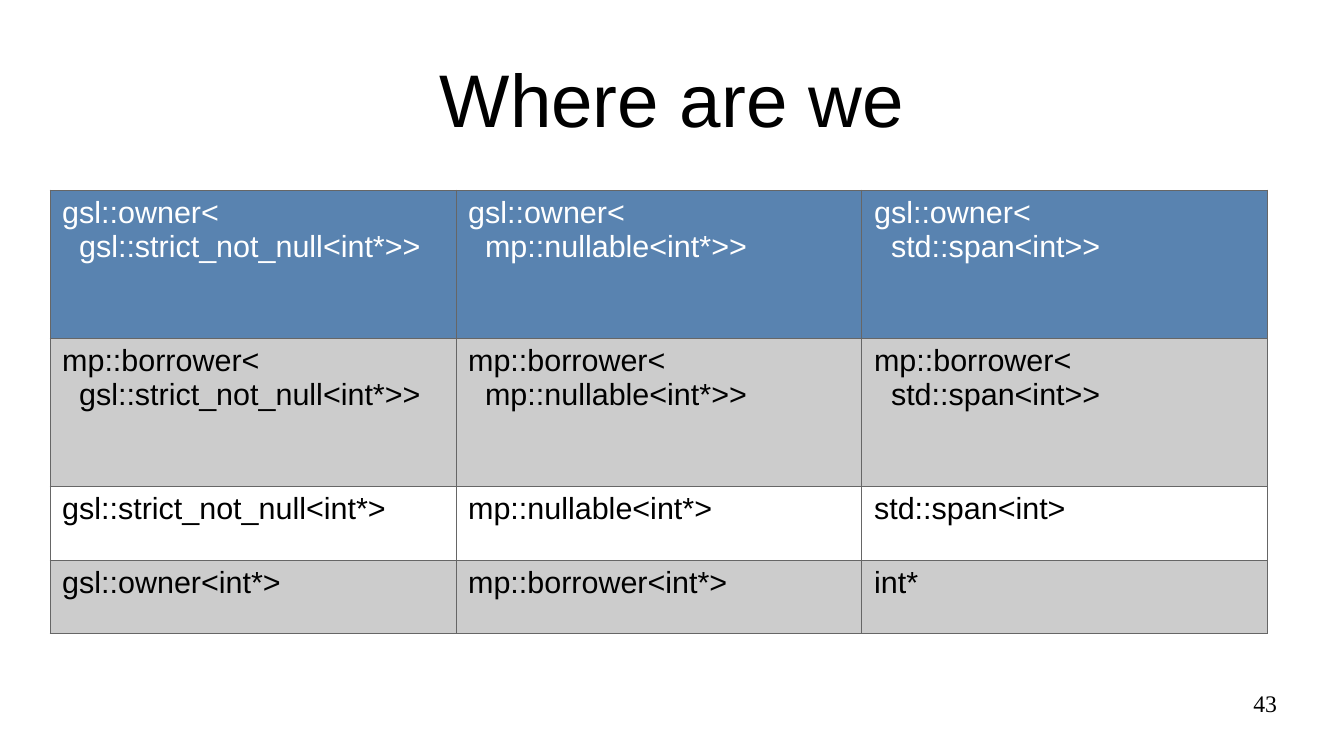
from lxml.etree import SubElement
from pptx import Presentation
from pptx.dml.color import RGBColor
from pptx.enum.text import MSO_ANCHOR as Anchor, PP_ALIGN as Align
from pptx.oxml.ns import qn
from pptx.util import Pt

TITLE = "Where are we"
PAGE_NUMBER = "43"
POINTER_TYPES = [  # a line break inside a cell is \v
    ["gsl::owner<\v  gsl::strict_not_null<int*>>",
     "gsl::owner<\v  mp::nullable<int*>>",
     "gsl::owner<\v  std::span<int>>"],
    ["mp::borrower<\v  gsl::strict_not_null<int*>>",
     "mp::borrower<\v  mp::nullable<int*>>",
     "mp::borrower<\v  std::span<int>>"],
    ["gsl::strict_not_null<int*>", "mp::nullable<int*>", "std::span<int>"],
    ["gsl::owner<int*>", "mp::borrower<int*>", "int*"],
]
ROW_STYLES = [  # height in px, fill, text colour
    (148, "5983B0", "FFFFFF"),
    (148, "CCCCCC", "000000"),
    (74, "FFFFFF", "000000"),
    (74, "CCCCCC", "000000"),
]
COLUMN_WIDTH = 406
BORDER, BORDER_WIDTH = "666666", Pt(0.57)


def px(length):
    return round(length * 914400 / 122)


def color(hex_string):
    return RGBColor.from_string(hex_string)


def style(paragraph, size, face, hex_string):
    font = paragraph.font
    font.size, font.name, font.bold = Pt(size), face, False
    font.color.rgb = color(hex_string)


def add_text(slide, text, box, size, face, align, anchor):
    frame = slide.shapes.add_textbox(*map(px, box)).text_frame
    frame.word_wrap = True
    frame.vertical_anchor = anchor
    frame.margin_left = frame.margin_right = 0
    frame.margin_top = frame.margin_bottom = 0
    frame.text = text
    frame.paragraphs[0].alignment = align
    style(frame.paragraphs[0], size, face, "000000")


def add_borders(cell):
    properties = cell._tc.get_or_add_tcPr()
    for position, side in enumerate(("a:lnL", "a:lnR", "a:lnT", "a:lnB")):
        line = SubElement(properties, qn(side), w=str(BORDER_WIDTH))
        fill = SubElement(line, qn("a:solidFill"))
        SubElement(fill, qn("a:srgbClr"), val=BORDER)
        properties.insert(position, line)  # borders come before the fill


prs = Presentation()
prs.slide_width, prs.slide_height = px(1344), px(756)
slide = prs.slides.add_slide(prs.slide_layouts[6])

# Title
add_text(slide, TITLE, (67, 30, 1210, 136), 44, "Arial", Align.CENTER, Anchor.MIDDLE)

# Table of pointer types
row_count, column_count = len(POINTER_TYPES), len(POINTER_TYPES[0])
table_height = sum(height for height, _, _ in ROW_STYLES)
table = slide.shapes.add_table(
    row_count, column_count, px(50), px(190),
    px(COLUMN_WIDTH * column_count), px(table_height)).table
table.first_row = table.horz_banding = False
for column in table.columns:
    column.width = px(COLUMN_WIDTH)
for row, names, (height, fill, ink) in zip(table.rows, POINTER_TYPES, ROW_STYLES):
    row.height = px(height)
    for cell, name in zip(row.cells, names):
        cell.text = name
        cell.fill.solid()
        cell.fill.fore_color.rgb = color(fill)
        style(cell.text_frame.paragraphs[0], 18, "Arial", ink)
        add_borders(cell)

# Page number
add_text(slide, PAGE_NUMBER, (964, 689, 313, 52), 14, "Times New Roman",
         Align.RIGHT, Anchor.TOP)

prs.save("out.pptx")
